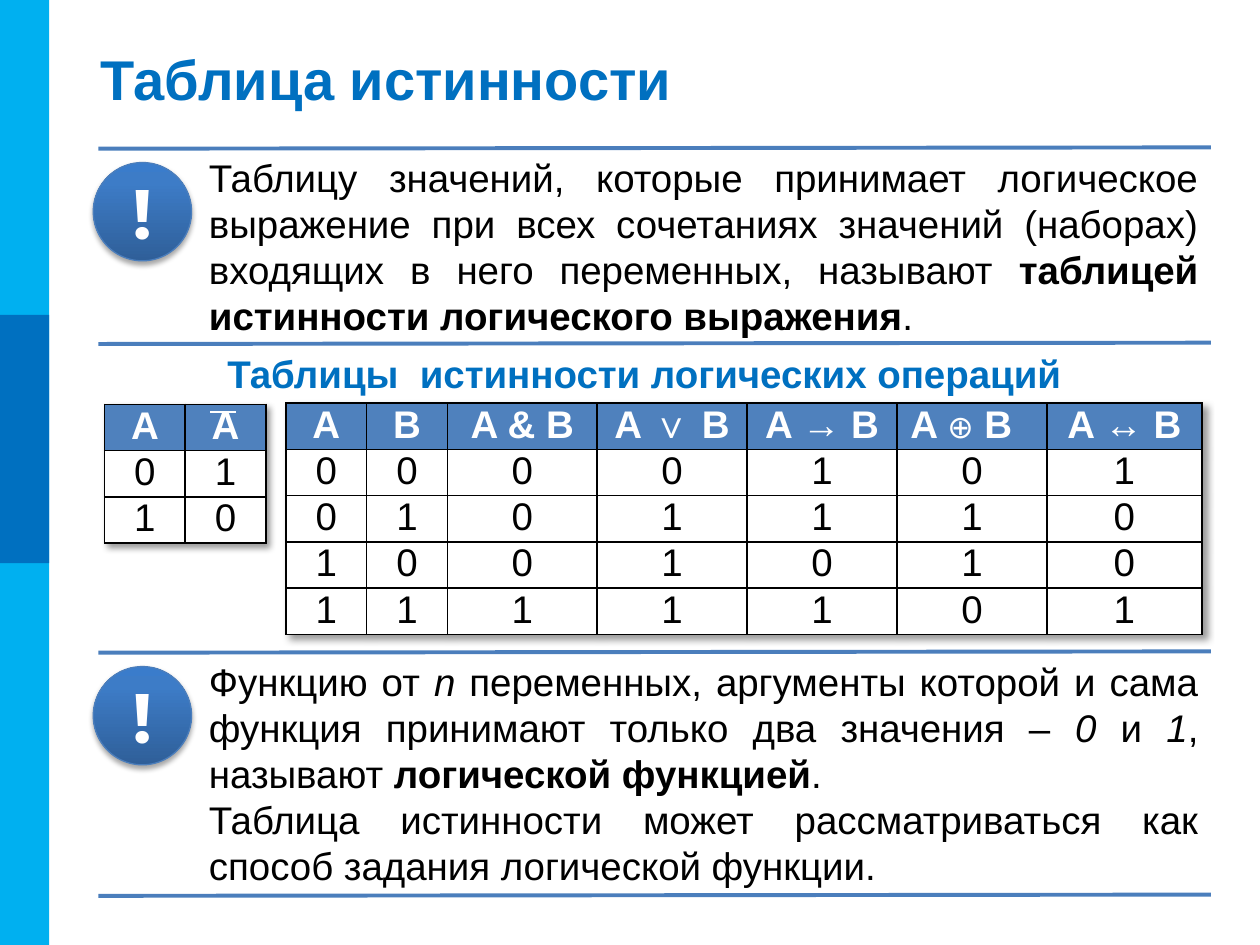
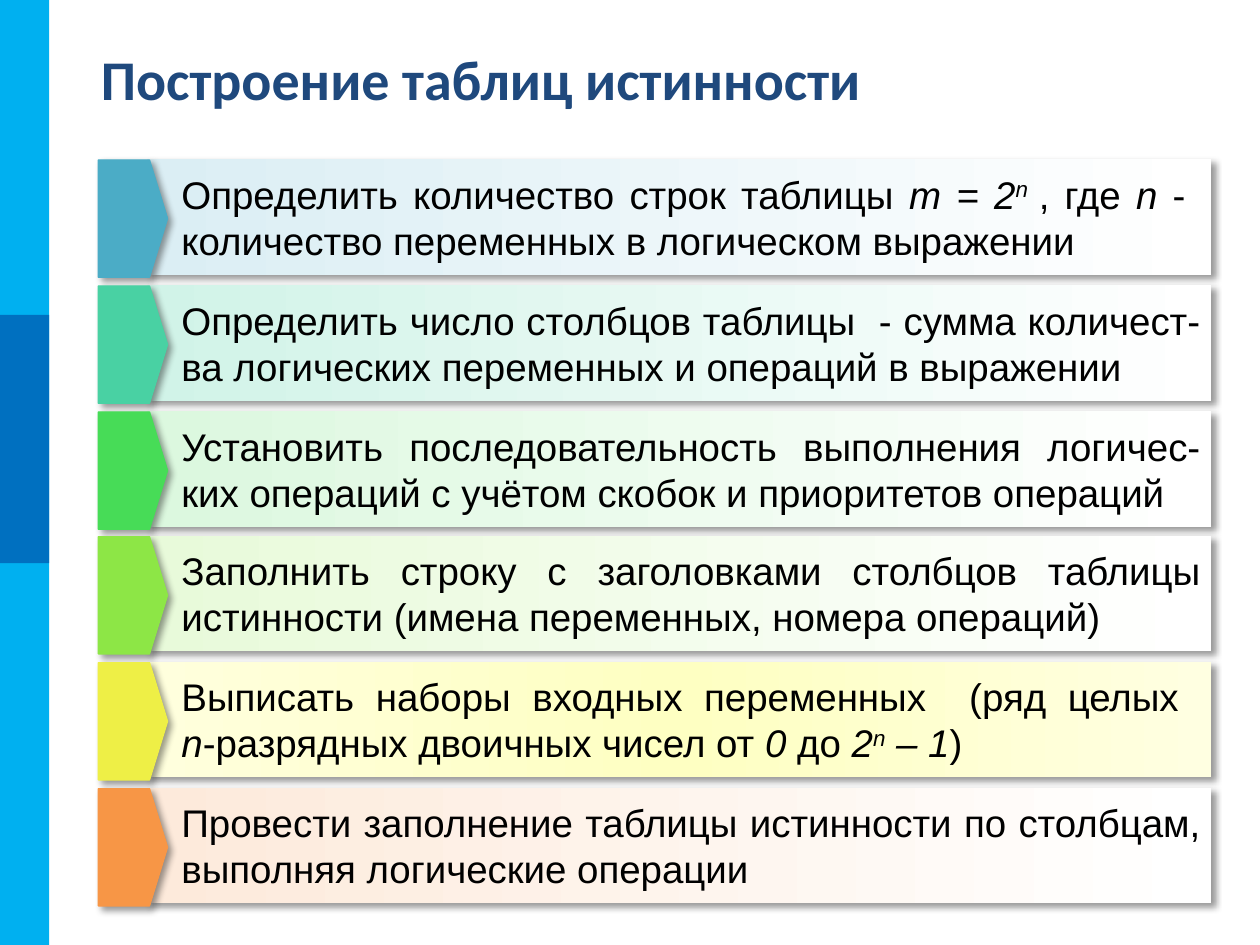
"""Builds two slides on truth tables: the definitions and the steps."""
from pptx import Presentation
from pptx.dml.color import RGBColor
from pptx.enum.shapes import MSO_CONNECTOR, MSO_SHAPE
from pptx.enum.text import MSO_AUTO_SIZE, PP_ALIGN
from pptx.oxml import parse_xml
from pptx.oxml.ns import nsdecls
from pptx.util import Inches, Pt

RECT, OVAL, TAG = MSO_SHAPE.RECTANGLE, MSO_SHAPE.OVAL, MSO_SHAPE.PENTAGON
LINE = MSO_CONNECTOR.STRAIGHT
LEFT, MID, FULL = PP_ALIGN.LEFT, PP_ALIGN.CENTER, PP_ALIGN.JUSTIFY
FIXED = MSO_AUTO_SIZE.NONE

hue = RGBColor.from_string
BLACK, WHITE = hue("000000"), hue("FFFFFF")
SKY, BLUE, NAVY = hue("00B0F0"), hue("0070C0"), hue("1F497D")
HEAD, RULE = hue("4F81BD"), hue("4B7EBC")
BALL = [(0, hue("2F5F99")), (80, hue("3D7CC7")), (100, hue("3A7CCB"))]
TEAL, MINT, GREEN = hue("4BACC6"), hue("49D1A3"), hue("47DC57")
LIME, LEMON, PEACH = hue("8DE646"), hue("EEEF46"), hue("F79646")
TEAL_BG = [(0, hue("DBEEF4")), (100, WHITE)]
MINT_BG = [(0, hue("D1F3E8")), (100, WHITE)]
GREEN_BG = [(0, hue("DCF8DF")), (100, WHITE)]
LIME_BG = [(0, hue("E8FADA")), (100, WHITE)]
LEMON_BG = [(0, hue("FFFFDD")), (50, hue("FEFFC2")), (100, hue("FFFFE1"))]
PEACH_BG = [(0, hue("FDEADB")), (100, WHITE)]

NS = nsdecls("a")
NO_FX = f"<a:effectLst {NS}/>"
SHADE = (f'<a:effectLst {NS}><a:outerShdw blurRad="{{}}" dist="{{}}" dir="{{}}" algn="ctr" rotWithShape="0">'
         '<a:srgbClr val="000000"><a:alpha val="{}"/></a:srgbClr></a:outerShdw></a:effectLst>')
SOFT = SHADE.format(Pt(3.1), Pt(1.8), 90 * 60000, 35000)
DEEP = SHADE.format(Pt(4), Pt(3), 45 * 60000, 40000)
EDGE = (f'<a:{{0}} {NS} w="{Pt(1)}"><a:solidFill><a:srgbClr val="{BLACK}"/>'
        '</a:solidFill></a:{0}>')

BOLD, SLANT = dict(bold=True), dict(italic=True)
POWER = dict(italic=True, base=30000)

prs = Presentation()
prs.slide_width, prs.slide_height = Inches(10), Inches(7.5)
U = prs.slide_width // 1000


def write(frame, text, align=LEFT, before=0, **look):
    """Add a paragraph; text is a string or (string, format) pairs."""
    para = frame.paragraphs[-1]
    if para.runs:
        para = frame.add_paragraph()
    para.alignment, para.space_before = align, Pt(before)
    for part, extra in [(text, {})] if isinstance(text, str) else text:
        if part == "\n":
            para.add_line_break()
            continue
        form = dict(size=22, name="Arial", color=BLACK, bold=False,
                    italic=False, base=0) | look | extra
        run = para.add_run()
        run.text = part
        font = run.font
        font.size, font.name = Pt(form["size"]), form["name"]
        font.bold, font.italic = form["bold"], form["italic"]
        font.color.rgb = form["color"]
        if form["base"]:
            run._r.get_or_add_rPr().set("baseline", str(form["base"]))


def draw(slide, kind, spot, fill, line=None, effect=NO_FX, angle=0):
    """Add a shape on the grid; fill is a colour or gradient stops."""
    shape = slide.shapes.add_shape(kind, *(n * U for n in spot))
    props = shape.element.spPr
    if isinstance(fill, list):
        stops = "".join(f'<a:gs pos="{pos * 1000}"><a:srgbClr val="{tone}"/></a:gs>'
                        for pos, tone in fill)
        props.insert(2, parse_xml(
            f'<a:gradFill {NS} rotWithShape="1"><a:gsLst>{stops}</a:gsLst>'
            f'<a:lin ang="{angle * 60000}" scaled="0"/></a:gradFill>'))
    else:
        shape.fill.solid()
        shape.fill.fore_color.rgb = fill
    if line:
        shape.line.color.rgb, shape.line.width = line, Pt(0.75)
    else:
        shape.line.fill.background()
    props.append(parse_xml(effect))
    return shape


layout = prs.slide_layouts[5]
name = layout.placeholders[0]
name.left, name.top, name.width, name.height = (n * U for n in (70, 30, 902, 64))
pages = []
for text, look in [("Таблица истинности", dict(color=BLUE)),
                   ("Построение таблиц истинности", dict(color=NAVY, name="Calibri"))]:
    page = prs.slides.add_slide(layout)
    frame = page.shapes.title.text_frame
    frame.auto_size = FIXED
    write(frame, text, size=32, bold=True, **look)
    pages.append(page)
facts, steps = pages

bands = [((0, 0, 39, 750), SKY), ((0, 250, 39, 197), BLUE)]
for i, (spot, tone) in enumerate(bands):
    band = draw(facts, RECT, spot, tone).element
    band.nvSpPr.cNvPr.set("id", str(20 + i))
    layout.shapes.element.insert(2 + i, band)

notes = [
    (117, 156, [[
        ("Таблицу значений, которые принимает логическое выражение при всех сочетаниях "
         "значений (наборах) входящих в него переменных, называют ", {}),
        ("таблицей истинности логического выражения", BOLD), (".", {})]]),
    (517, 203, [[
        ("Функцию от ", {}), ("n", SLANT),
        (" переменных, аргументы которой и сама функция принимают только два значения – ", {}),
        ("0", SLANT), (" и ", {}), ("1", SLANT), (", называют ", {}),
        ("логической функцией", BOLD), (".", {})],
        "Таблица истинности может рассматриваться как способ задания логической функции."]),
]
for top, high, paras in notes:
    box = facts.shapes.add_textbox(156 * U, top * U, 805 * U, high * U)
    box.text_frame.word_wrap = True
    for i, text in enumerate(paras):
        write(box.text_frame, text, align=FULL, before=0 if i else 4.4)
    ball = draw(facts, OVAL, (74, top + 12, 78, 78), BALL, RULE, SOFT, angle=270)
    write(ball.text_frame, "!", align=MID, size=40, name="Montserrat",
          color=WHITE, bold=True)

box = facts.shapes.add_textbox(70 * U, 273 * U, 883 * U, 47 * U)
box.text_frame.word_wrap = True
write(box.text_frame, "Таблицы  истинности логических операций", align=MID,
      color=BLUE, bold=True)

ring = [("A ", {}), ("⊕", dict(size=18, name="Calibri", bold=False)), (" B", {})]
grids = [
    (227, 320, [64, 64, 119, 119, 119, 119, 123],
     [["А", "В", "A & B", "А ∨ B", "A → B", ring, "A ↔ B"],
      "0000101", "0101110", "1001010", "1111101"]),
    (83, 321, [64, 64], [["А", "A"], "01", "10"]),
]
for left, top, cols, rows in grids:
    high = 366 * len(rows) // 10
    table = facts.shapes.add_table(len(rows), len(cols), left * U, top * U,
                                   sum(cols) * U, high * U).table
    table._tbl.tblPr.insert(0, parse_xml(DEEP))
    for col, wide in zip(table.columns, cols):
        col.width = wide * U
    for r, row in enumerate(rows):
        table.rows[r].height = high * U // len(rows)
        for c, text in enumerate(row):
            cell = table.cell(r, c)
            cell.margin_top = cell.margin_bottom = 0
            if text is ring:
                cell.margin_left, cell.margin_right = 5 * U, 22 * U
            for side in ("lnL", "lnR", "lnT", "lnB"):
                cell._tc.get_or_add_tcPr().append(parse_xml(EDGE.format(side)))
            cell.fill.solid()
            cell.fill.fore_color.rgb = WHITE if r else HEAD
            write(cell.text_frame, text, align=MID, bold=r == 0,
                  color=BLACK if r else WHITE)

rules = [(78, y + 1, 961, y, RULE, 2.25) for y in (117, 272, 517, 710)]
for *ends, tone, thick in rules + [(167, 327, 187, 327, WHITE, 1.5)]:
    rule = facts.shapes.add_connector(LINE, *(n * U for n in ends))
    rule.line.color.rgb, rule.line.width = tone, Pt(thick)
    rule.element.spPr.append(parse_xml(NO_FX))

plan = [
    (TEAL, TEAL_BG, [
        ("Определить количество строк таблицы ", {}), ("m = 2", SLANT), ("n ", POWER),
        (", где ", {}), ("n", SLANT),
        (" -  количество переменных в логическом выражении", {})]),
    (MINT, MINT_BG, "Определить число столбцов таблицы  - сумма количест-ва "
                    "логических переменных и операций в выражении"),
    (GREEN, GREEN_BG, "Установить последовательность выполнения логичес-ких "
                      "операций с учётом скобок и приоритетов операций"),
    (LIME, LIME_BG, "Заполнить строку с заголовками столбцов таблицы "
                    "истинности (имена переменных, номера операций)"),
    (LEMON, LEMON_BG, [
        ("Выписать наборы входных переменных  (ряд целых ", {}), ("\n", {}),
        ("n", SLANT), ("-разрядных двоичных чисел от ", {}), ("0", SLANT),
        (" до ", {}), ("2", SLANT), ("n", POWER), (" – 1", SLANT), (")", {})]),
    (PEACH, PEACH_BG, "Провести заполнение таблицы истинности по столбцам, "
                      "выполняя логические операции"),
]
for i, (tone, wash, text) in enumerate(plan):
    top = round(126 + 99.8 * i)
    bar = draw(steps, RECT, (117, top, 844, 92), wash, effect=DEEP)
    frame = bar.text_frame
    frame.margin_left, frame.margin_right = 27 * U, 8 * U
    frame.margin_top = frame.margin_bottom = 4 * U
    frame.word_wrap = True
    write(frame, text, align=FULL)
    tag = draw(steps, TAG, (78, top + 1, 55, 93), tone, tone, DEEP)
    tag.adjustments[0] = 0.26

prs.save("out.pptx")
